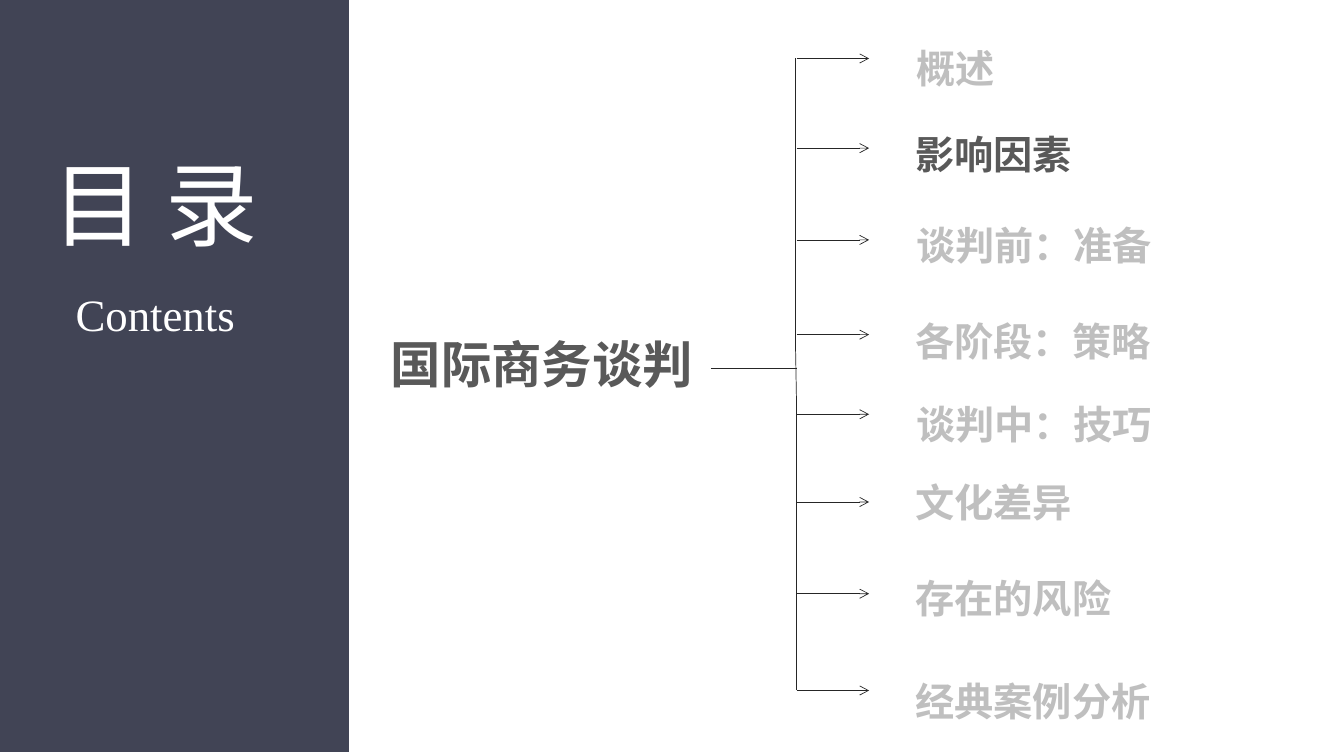
"""Build the contents slide on international business negotiation."""
from dataclasses import dataclass
from itertools import pairwise

import lxml.etree
import pptx
import pptx.dml.color
import pptx.enum.shapes
import pptx.enum.text
import pptx.oxml.ns
import pptx.slide
import pptx.util

Inches = pptx.util.Inches
Anchor = pptx.enum.text.MSO_ANCHOR
Align = pptx.enum.text.PP_ALIGN

COLOURS = {
    "panel": "414455",
    "white": "FFFFFF",
    "active": "595959",
    "muted": "BFBFBF",
    "line": "262626",
}
CHINESE_FONT = "Noto Sans CJK SC"
TRUNK_POINTS = [(7.89, 0.58), (7.89, 3.42), (7.9, 4), (7.9, 6.85)]
BRANCH_LEFT, BRANCH_RIGHT = 7.9, 8.62


@dataclass
class Title:
    text: str
    left: float
    top: float
    width: float
    height: float
    size: int
    font: str
    colour: str
    bold: bool = False


@dataclass
class Topic:
    text: str
    left: float
    top: float
    width: float
    branch: float
    colour: str = "muted"
    anchor: Anchor = Anchor.MIDDLE


TITLES = [
    Title("目 录", 0.28, 1.41, 2.52, 1.21, 66, CHINESE_FONT, "white"),
    Title("Contents", 0.64, 2.8, 1.8, 0.64, 32, "Times New Roman", "white"),
    Title("国际商务谈判", 3.76, 3.26, 3.23, 0.71, 36, CHINESE_FONT, "active", True),
]
TOPICS = [
    Topic("概述", 9.02, 0.17, 2.19, 0.58),
    Topic("影响因素", 9.01, 1.02, 3.14, 1.47, colour="active"),
    Topic("谈判前：准备", 9.02, 1.92, 3.14, 2.38),
    Topic("各阶段：策略", 9.01, 2.87, 3.79, 3.32),
    Topic("谈判中：技巧", 9.02, 3.7, 3.14, 4.11),
    Topic("文化差异", 9.01, 4.47, 2.19, 4.98, anchor=Anchor.TOP),
    Topic("存在的风险", 9.01, 5.42, 3.14, 5.89),
    Topic("经典案例分析", 9.01, 6.45, 3.67, 6.85, anchor=Anchor.TOP),
]


def colour(name: str) -> pptx.dml.color.RGBColor:
    return pptx.dml.color.RGBColor.from_string(COLOURS[name])


def add_child(parent: lxml.etree._Element, tag: str, **attributes: str) -> None:
    child = lxml.etree.SubElement(parent, pptx.oxml.ns.qn(tag))
    for key, value in attributes.items():
        child.set(key, value)


def add_panel(page: pptx.slide.Slide) -> None:
    panel = page.shapes.add_shape(
        pptx.enum.shapes.MSO_SHAPE.RECTANGLE,
        Inches(0), Inches(-0.04), Inches(3.46), Inches(7.5),
    )
    panel.shadow.inherit = False
    panel.fill.solid()
    panel.fill.fore_color.rgb = colour("panel")
    panel.line.fill.background()


def add_text(page: pptx.slide.Slide, item: Title):
    box = page.shapes.add_textbox(
        Inches(item.left), Inches(item.top), Inches(item.width), Inches(item.height)
    )
    frame = box.text_frame
    frame.word_wrap = False
    frame.auto_size = pptx.enum.text.MSO_AUTO_SIZE.SHAPE_TO_FIT_TEXT
    para = frame.paragraphs[0]
    para.alignment = Align.CENTER
    span = para.add_run()
    span.text = item.text
    span.font.size = pptx.util.Pt(item.size)
    span.font.bold = item.bold
    span.font.color.rgb = colour(item.colour)
    span.font.name = item.font
    add_child(span.font._element, "a:ea", typeface=CHINESE_FONT)
    return frame


def add_topic(page: pptx.slide.Slide, topic: Topic) -> None:
    frame = add_text(page, Title(
        topic.text, topic.left, topic.top, topic.width, 0.78,
        28, "Cabin", topic.colour, True,
    ))
    frame.word_wrap = True
    frame.vertical_anchor = topic.anchor
    frame.margin_left = frame.margin_right = Inches(0.07)
    frame.margin_top = frame.margin_bottom = Inches(0.04)
    frame.paragraphs[0].alignment = Align.LEFT
    frame.paragraphs[0].line_spacing = 1.5


def add_line(
    page: pptx.slide.Slide,
    start: tuple[float, float],
    end: tuple[float, float],
    arrow: bool = False,
) -> None:
    connector = page.shapes.add_connector(
        pptx.enum.shapes.MSO_CONNECTOR.STRAIGHT,
        *(Inches(value) for value in (*start, *end)),
    )
    connector.line.color.rgb = colour("line")
    connector.line.width = pptx.util.Pt(0.5)
    if arrow:
        add_child(connector.line._get_or_add_ln(), "a:tailEnd", type="arrow")
    add_child(connector._element.spPr, "a:effectLst")


def main() -> None:
    deck = pptx.Presentation()
    deck.slide_width, deck.slide_height = Inches(13.33), Inches(7.5)
    page = deck.slides.add_slide(deck.slide_layouts[6])
    add_panel(page)
    for title in TITLES:
        add_text(page, title)
    for topic in TOPICS:
        add_topic(page, topic)
        add_line(page, (BRANCH_LEFT, topic.branch), (BRANCH_RIGHT, topic.branch), True)
    for start, end in pairwise(TRUNK_POINTS):
        add_line(page, start, end)
    add_line(page, (7.05, 3.65), (BRANCH_LEFT, 3.65))
    deck.save("out.pptx")


if __name__ == "__main__":
    main()
